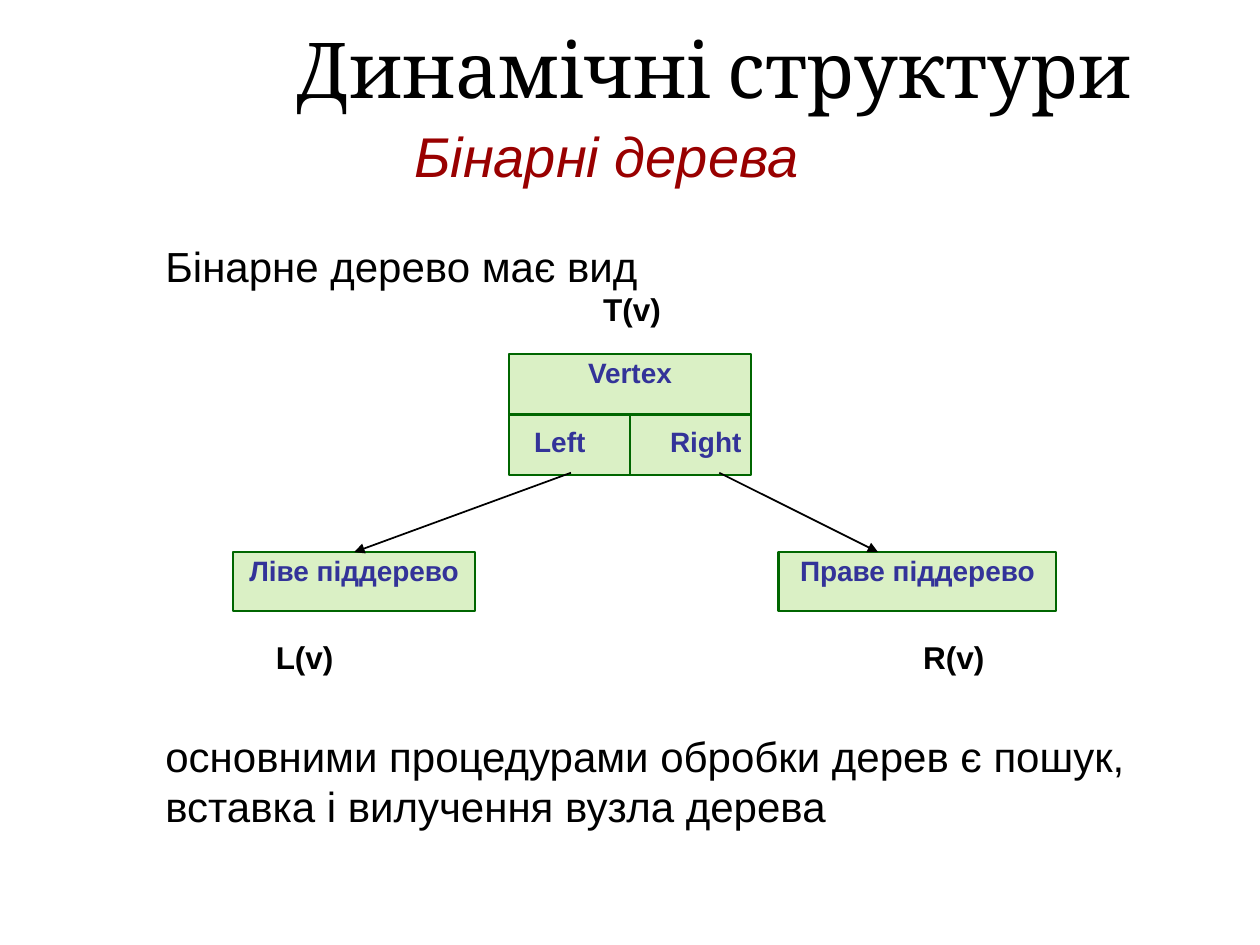
from dataclasses import dataclass

import pptx
import pptx.dml.color
import pptx.enum.shapes
import pptx.enum.text
import pptx.oxml.ns
import pptx.util
from lxml import etree

Cm = pptx.util.Cm
Pt = pptx.util.Pt
ALIGN = pptx.enum.text.PP_ALIGN
ANCHOR = pptx.enum.text.MSO_ANCHOR
qn = pptx.oxml.ns.qn

BLACK, RED, BLUE = "000000", "990000", "333399"
GREEN, LIGHT_GREEN = "006600", "B6E38D"


@dataclass
class Area:
    left: float
    top: float
    width: float
    height: float

    def lengths(self) -> tuple:
        return Cm(self.left), Cm(self.top), Cm(self.width), Cm(self.height)


@dataclass
class Label:
    text: str
    area: Area
    size: int = 18
    color: str = BLACK
    bold: bool = True
    italic: bool = False


@dataclass
class Node:
    text: str
    area: Area


@dataclass
class Line:
    start: tuple[float, float]
    end: tuple[float, float]
    color: str
    width: float


def rgb(value: str) -> pptx.dml.color.RGBColor:
    return pptx.dml.color.RGBColor.from_string(value)


def format_paragraph(paragraph, size: int, color: str, bold=False, italic=False,
                     name="Arial", align=ALIGN.LEFT) -> None:
    paragraph.alignment = align
    font = paragraph.font
    font.name, font.size, font.bold, font.italic = name, Pt(size), bold, italic
    font.color.rgb = rgb(color)


def place(shape, area: Area) -> None:
    shape.left, shape.top, shape.width, shape.height = area.lengths()


def add_label(shapes, label: Label) -> None:
    shape = shapes.add_textbox(*label.area.lengths())
    frame = shape.text_frame
    frame.vertical_anchor = ANCHOR.MIDDLE
    frame.text = label.text
    format_paragraph(frame.paragraphs[0], label.size, label.color, label.bold, label.italic)


def add_node(shapes, node: Node):
    shape = shapes.add_shape(pptx.enum.shapes.MSO_SHAPE.RECTANGLE, *node.area.lengths())
    shape.shadow.inherit = False
    shape.fill.solid()
    shape.fill.fore_color.rgb = rgb(LIGHT_GREEN)
    fill_color = shape.fill._xPr.find(qn("a:solidFill"))[0]
    etree.SubElement(fill_color, qn("a:alpha"), val="50000")
    shape.line.color.rgb = rgb(GREEN)
    shape.line.width = Pt(1.5)
    frame = shape.text_frame
    frame.word_wrap = True
    frame.vertical_anchor = ANCHOR.TOP
    frame.margin_left = frame.margin_right = frame.margin_top = frame.margin_bottom = Cm(0.03)
    frame.text = node.text
    format_paragraph(frame.paragraphs[0], 16, BLUE, bold=True, align=ALIGN.CENTER)
    return shape


def add_line(shapes, line: Line, arrow: bool = False):
    connector = shapes.add_connector(
        pptx.enum.shapes.MSO_CONNECTOR.STRAIGHT,
        *(Cm(value) for value in line.start + line.end))
    connector.line.color.rgb = rgb(line.color)
    connector.line.width = Pt(line.width)
    if arrow:
        etree.SubElement(connector.line._get_or_add_ln(), qn("a:tailEnd"), type="triangle")
    etree.SubElement(connector._element.spPr, qn("a:effectLst"))
    return connector


def add_vertex(shapes, area: Area) -> None:
    """Draw the record with its Left and Right fields as one group."""
    group = shapes.add_group_shape().shapes
    vertex = add_node(group, Node("Vertex", area))
    fields = vertex.text_frame.add_paragraph()
    fields.text = "Left\tRight"
    fields.space_before = Pt(20)
    properties = fields._p.get_or_add_pPr()
    properties.set("marL", str(Cm(0.48)))
    tabs = etree.SubElement(properties, qn("a:tabLst"))
    etree.SubElement(tabs, qn("a:tab"), pos=str(Cm(2.74)), algn="l")
    format_paragraph(fields, 16, BLUE, bold=True)

    right, bottom = area.left + area.width, area.top + area.height
    center, middle = area.left + area.width / 2, area.top + area.height / 2
    divider = add_line(group, Line((area.left, middle), (right, middle), GREEN, 1.5))
    divider.begin_connect(vertex, 1)
    divider.end_connect(vertex, 3)
    separator = add_line(group, Line((center, middle), (center, bottom), GREEN, 1.5))
    separator.end_connect(vertex, 2)


def fill_title(title) -> None:
    place(title, Area(5.11, 0, 18.59, 2.72))
    title.text_frame.text = "Динамічні структури"
    title.text_frame.vertical_anchor = ANCHOR.MIDDLE
    format_paragraph(title.text_frame.paragraphs[0], 44, BLACK,
                     name="Cambria", align=ALIGN.CENTER)


def fill_body(body) -> None:
    """Set the two statements, leaving room for the tree between them."""
    place(body, Area(2.11, 4.72, 22.86, 12.57))
    frame = body.text_frame
    frame.auto_size = pptx.enum.text.MSO_AUTO_SIZE.NONE
    frame.text = ("Бінарне дерево має вид\n"
                  "основними процедурами обробки дерев є пошук, вставка і вилучення вузла дерева")
    for paragraph, space in zip(frame.paragraphs, (0, 251)):
        paragraph.space_before = Pt(space)
        properties = paragraph._p.get_or_add_pPr()
        properties.set("marL", str(Cm(0.97)))
        properties.set("indent", "0")
        etree.SubElement(properties, qn("a:buNone"))
        format_paragraph(paragraph, 24, BLACK)


def main() -> None:
    presentation = pptx.Presentation()
    presentation.slide_width, presentation.slide_height = Cm(25.4), Cm(19.05)
    slide = presentation.slides.add_slide(presentation.slide_layouts[1])
    shapes = slide.shapes
    fill_title(shapes.title)
    fill_body(slide.placeholders[1])

    left_subtree = add_node(shapes, Node("Ліве піддерево", Area(4.7, 11.13, 4.88, 1.19)))
    add_node(shapes, Node("Праве піддерево", Area(15.7, 11.13, 5.59, 1.19)))
    add_vertex(shapes, Area(10.26, 7.14, 4.88, 2.44))

    left_arrow = add_line(shapes, Line((11.51, 9.53), (7.14, 11.13), BLACK, 1), arrow=True)
    left_arrow.end_connect(left_subtree, 0)
    add_line(shapes, Line((14.5, 9.53), (17.7, 11.13), BLACK, 1), arrow=True)

    labels = [
        Label("Бінарні дерева", Area(8.1, 2.31, 10.13, 1.63), 32, RED, bold=False, italic=True),
        Label("T(v)", Area(11.91, 5.72, 1.85, 1.02)),
        Label("L(v)", Area(5.31, 12.73, 1.85, 1.02)),
        Label("R(v)", Area(18.36, 12.73, 1.85, 1.02)),
    ]
    for label in labels:
        add_label(shapes, label)

    presentation.save("out.pptx")


if __name__ == "__main__":
    main()
